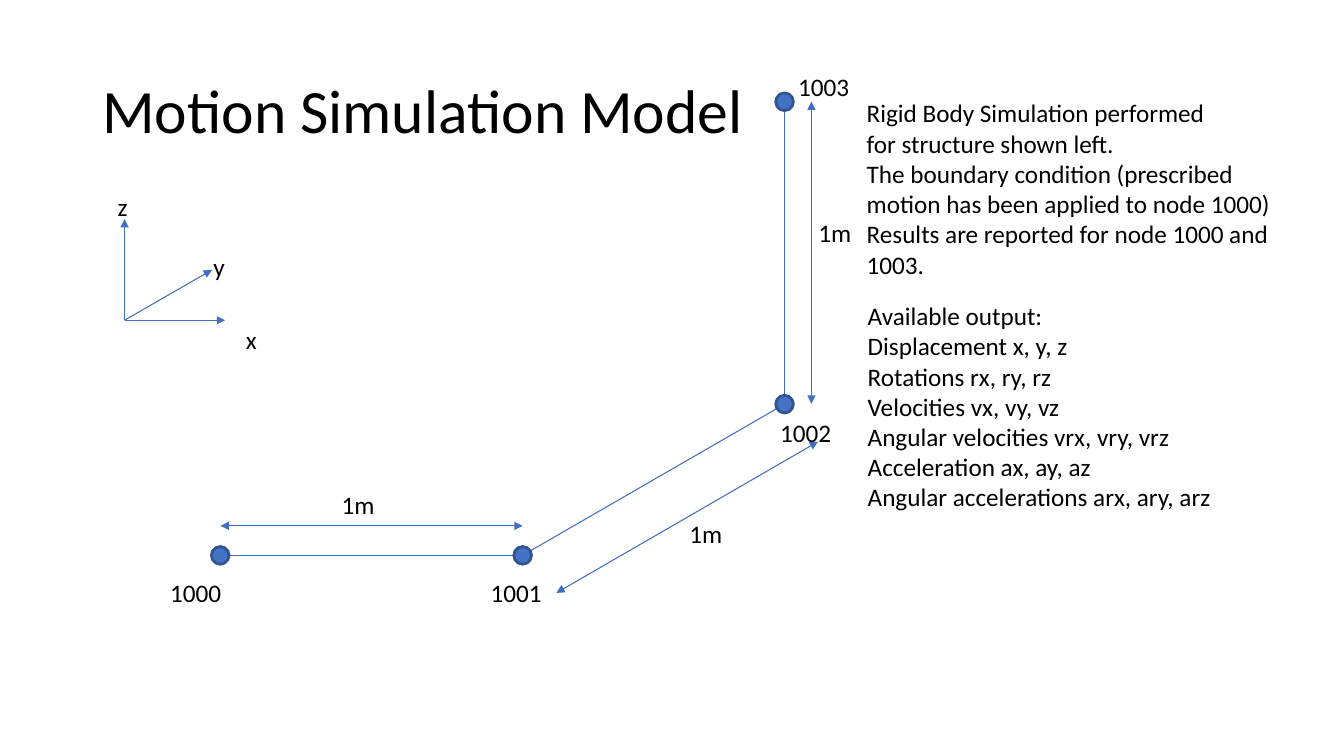
from lxml.etree import SubElement
from pptx import Presentation
from pptx.dml.color import RGBColor
from pptx.enum.shapes import MSO_CONNECTOR, MSO_SHAPE
from pptx.enum.text import MSO_ANCHOR
from pptx.oxml.ns import qn
from pptx.util import Pt

BLACK = RGBColor(0x00, 0x00, 0x00)
NODE_FILL = RGBColor(0x44, 0x72, 0xC4)
NODE_BORDER = RGBColor(0x32, 0x54, 0x91)
LINE_BLUE = RGBColor(0x3F, 0x6E, 0xC2)
FONT_NAME = "Calibri"
NODE_SIZE = 12.6
LABEL_HEIGHT = 29

NODES = {
    "1000": (157.3, 396.7),
    "1001": (373.3, 396.7),
    "1002": (560.4, 288.7),
    "1003": (560.4, 72.7),
}
MEMBERS = [("1001", "1002"), ("1000", "1001"), ("1003", "1002")]
DIMENSIONS = [
    ((157.5, 375.6), (373.3, 375.6)),
    ((397.4, 423.5), (584.3, 315.5)),
    ((579.6, 72.5), (579.6, 288.4)),
]
AXIS_ORIGIN = (89, 228.7)
AXIS_ENDS = [(89, 156.5), (160.8, 228.7), (151.4, 192.8)]
LABELS = [
    ("1000", 114.5, 409, 60),
    ("1001", 343.4, 409, 60),
    ("1002", 550.1, 294.5, 60),
    ("1003", 563, 47.5, 60),
    ("1m", 236.9, 346.3, 43),
    ("1m", 577.4, 151.9, 43),
    ("1m", 485.3, 366.5, 43),
    ("x", 168.5, 228.2, 24.5),
    ("y", 145.4, 175.7, 24.5),
    ("z", 77, 133.2, 24.5),
]
DESCRIPTION = [
    "Rigid Body Simulation performed",
    "for structure shown left.",
    "The boundary condition (prescribed\nmotion has been applied to node 1000)",
    "Results are reported for node 1000 and",
    "1003.",
]
OUTPUTS = [
    "Available output:",
    "Displacement x, y, z",
    "Rotations rx, ry, rz",
    "Velocities vx, vy, vz",
    "Angular velocities vrx, vry, vrz",
    "Acceleration ax, ay, az",
    "Angular accelerations arx, ary, arz",
]


def add_text(slide, lines, left, top, width, height, size=18):
    shape = slide.shapes.add_textbox(Pt(left), Pt(top), Pt(width), Pt(height))
    text_frame = shape.text_frame
    text_frame.word_wrap = True
    for index, line in enumerate(lines):
        paragraph = text_frame.add_paragraph() if index else text_frame.paragraphs[0]
        paragraph.text = line
        paragraph.font.name = FONT_NAME
        paragraph.font.size = Pt(size)
        paragraph.font.color.rgb = BLACK
    return text_frame


def add_line(slide, start, end, arrowheads=()):
    connector = slide.shapes.add_connector(
        MSO_CONNECTOR.STRAIGHT, *(Pt(value) for value in (*start, *end))
    )
    connector.line.color.rgb = LINE_BLUE
    connector.line.width = Pt(0.75)
    line_properties = connector.line._get_or_add_ln()
    for arrowhead in arrowheads:
        SubElement(line_properties, qn(f"a:{arrowhead}"), type="triangle")
    SubElement(connector._element.spPr, qn("a:effectLst"))


def add_node(slide, center):
    left, top = (Pt(value - NODE_SIZE / 2) for value in center)
    shape = slide.shapes.add_shape(
        MSO_SHAPE.OVAL, left, top, Pt(NODE_SIZE), Pt(NODE_SIZE)
    )
    shape.shadow.inherit = False
    shape.fill.solid()
    shape.fill.fore_color.rgb = NODE_FILL
    shape.line.color.rgb = NODE_BORDER
    shape.line.width = Pt(2)


def main():
    presentation = Presentation()
    presentation.slide_width = Pt(960)
    presentation.slide_height = Pt(540)
    slide = presentation.slides.add_slide(presentation.slide_layouts[6])

    title = add_text(slide, ["Motion Simulation Model"], 66, 28.8, 828, 104.4, 44)
    title.vertical_anchor = MSO_ANCHOR.MIDDLE
    title.paragraphs[0].line_spacing = 0.9

    for start, end in MEMBERS:
        add_line(slide, NODES[start], NODES[end])
    for center in NODES.values():
        add_node(slide, center)
    for start, end in DIMENSIONS:
        add_line(slide, start, end, ("headEnd", "tailEnd"))
    for end in AXIS_ENDS:
        add_line(slide, AXIS_ORIGIN, end, ("tailEnd",))
    for text, left, top, width in LABELS:
        add_text(slide, [text], left, top, width, LABEL_HEIGHT)

    add_text(slide, DESCRIPTION, 612, 66.3, 340, 137)
    add_text(slide, OUTPUTS, 612.7, 211, 325, 158.4)
    presentation.save("out.pptx")


if __name__ == "__main__":
    main()
